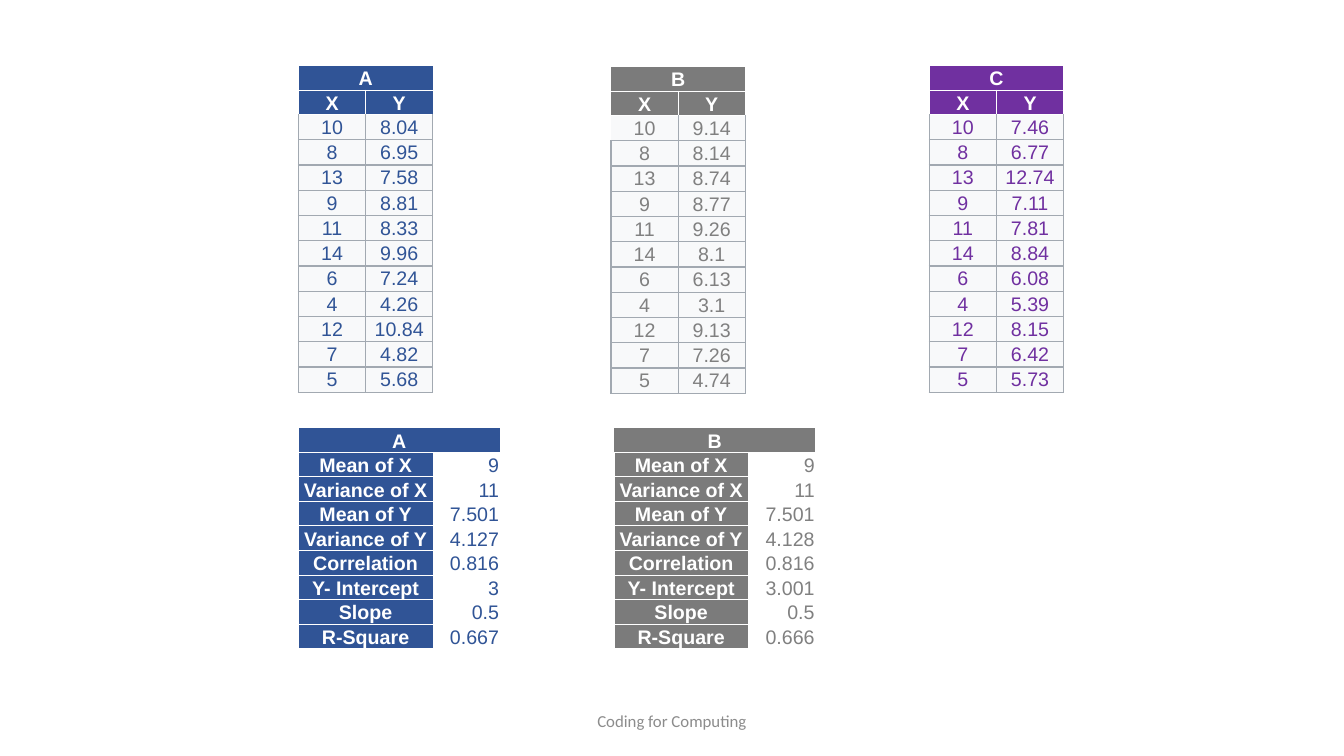
from dataclasses import dataclass

from lxml import etree
from pptx import Presentation
from pptx import util as u
from pptx.dml.color import RGBColor
from pptx.enum import text
from pptx.oxml import ns

WHITE, GRID, PALE = "FFFFFF", "A2A9B1", "F8F9FA"
BLUE, GRAY, GRAY_TEXT, PURPLE = "305496", "7B7B7B", "808080", "7030A0"
THIN, THICK = (WHITE, 0.5), (GRID, 1)
CENTER, RIGHT = text.PP_ALIGN.CENTER, text.PP_ALIGN.RIGHT
MIDDLE, BOTTOM = text.MSO_ANCHOR.MIDDLE, text.MSO_ANCHOR.BOTTOM

XS = "10 8 13 9 11 14 6 4 12 7 5".split()
STATS = ["Mean of X", "Variance of X", "Mean of Y", "Variance of Y",
         "Correlation", "Y- Intercept", "Slope", "R-Square"]


@dataclass
class Block:
    name: str
    left: float
    top: float
    fill: str
    color: str
    values: str
    open_left: int = 0  # leading rows without a left border


@dataclass
class Style:
    fill: str | None
    color: str
    bold: bool
    align: text.PP_ALIGN
    anchor: text.MSO_ANCHOR


def rgb(value: str) -> RGBColor:
    return RGBColor.from_string(value)


def set_borders(cell, left, right, top, bottom) -> None:
    """Each side is (colour, width in points), or None for no line."""
    tc_pr = cell._tc.get_or_add_tcPr()
    for tag, side in zip(("lnL", "lnR", "lnT", "lnB"), (left, right, top, bottom)):
        ln = etree.SubElement(tc_pr, ns.qn(f"a:{tag}"))
        if side is None:
            etree.SubElement(ln, ns.qn("a:noFill"))
            continue
        color, width = side
        ln.set("w", str(int(u.Pt(width))))
        solid = etree.SubElement(ln, ns.qn("a:solidFill"))
        etree.SubElement(solid, ns.qn("a:srgbClr")).set("val", color)


def fill_cell(cell, words: str, style: Style) -> None:
    if style.fill:
        cell.fill.solid()
        cell.fill.fore_color.rgb = rgb(style.fill)
    else:
        cell.fill.background()
    cell.margin_left = cell.margin_right = cell.margin_top = u.Pt(0.7)
    cell.margin_bottom = 0
    cell.vertical_anchor = style.anchor
    p = cell.text_frame.paragraphs[0]
    p.text = words
    p.alignment = style.align
    p.font.name, p.font.size, p.font.bold = "Arial", u.Pt(14), style.bold
    p.font.color.rgb = rgb(style.color)


def add_grid(slide, block: Block, widths: list[float], heights: list[float]):
    """Add a plain table whose first row is merged into a title."""
    frame = slide.shapes.add_table(
        len(heights), len(widths), u.Pt(block.left), u.Pt(block.top),
        u.Pt(sum(widths)), u.Pt(sum(heights)))
    table = frame.table
    table.first_row = table.horz_banding = False
    for column, width in zip(table.columns, widths):
        column.width = u.Pt(width)
    for row, height in zip(table.rows, heights):
        row.height = u.Pt(height)
    table.cell(0, 0).merge(table.cell(0, len(widths) - 1))
    return table


def header_style(block: Block) -> Style:
    return Style(block.fill, WHITE, True, CENTER, BOTTOM)


def add_data_table(slide, block: Block) -> None:
    rows = [(block.name, ""), ("X", "Y"), *zip(XS, block.values.split())]
    table = add_grid(slide, block, [48, 48], [17.1] * 2 + [18.03] * len(XS))
    body = Style(PALE, block.color, False, CENTER, MIDDLE)
    for i, row in enumerate(rows):
        line = THIN if i < 2 else THICK
        for j, words in enumerate(row):
            left = None if j == 0 and i < block.open_left else line
            set_borders(table.cell(i, j), left, line, THIN if i < 3 else THICK, line)
            fill_cell(table.cell(i, j), words, header_style(block) if i < 2 else body)


def add_stats_table(slide, block: Block) -> None:
    rows = [(block.name, ""), *zip(STATS, block.values.split())]
    table = add_grid(slide, block, [96, 48], [17.4] * len(rows))
    value = Style(None, block.color, False, RIGHT, BOTTOM)
    for i, row in enumerate(rows):
        for j, words in enumerate(row):
            left = None if j == 0 and i < block.open_left else THIN
            set_borders(table.cell(i, j), left, THIN, THIN, THIN)
            is_value = i > 0 and j == 1
            fill_cell(table.cell(i, j), words, value if is_value else header_style(block))


def add_footer(slide, words: str) -> None:
    sp = slide.shapes.add_textbox(u.Pt(318), u.Pt(500.5), u.Pt(324), u.Pt(28.75))
    tf = sp.text_frame
    tf.word_wrap = True
    tf.vertical_anchor = MIDDLE
    p = tf.paragraphs[0]
    p.text = words
    p.alignment = CENTER
    p.font.name, p.font.size = "Calibri", u.Pt(12)
    p.font.color.rgb = rgb("8C8C8C")


DATA = [
    Block("A", 213.2, 46.8, BLUE, BLUE,
          "8.04 6.95 7.58 8.81 8.33 9.96 7.24 4.26 10.84 4.82 5.68"),
    Block("B", 436.4, 47.5, GRAY, GRAY_TEXT,
          "9.14 8.14 8.74 8.77 9.26 8.1 6.13 3.1 9.13 7.26 4.74", open_left=3),
    Block("C", 663.8, 46.8, PURPLE, PURPLE,
          "7.46 6.77 12.74 7.11 7.81 8.84 6.08 5.39 8.15 6.42 5.73"),
]
SUMMARY = [
    Block("A", 213.2, 305.5, BLUE, BLUE, "9 11 7.501 4.127 0.816 3 0.5 0.667"),
    Block("B", 438.6, 305.5, GRAY, GRAY_TEXT,
          "9 11 7.501 4.128 0.816 3.001 0.5 0.666", open_left=1),
]


def main() -> None:
    prs = Presentation()
    prs.slide_width, prs.slide_height = u.Pt(960), u.Pt(540)
    slide = prs.slides.add_slide(prs.slide_layouts[6])
    add_footer(slide, "Coding for Computing")
    for block in DATA:
        add_data_table(slide, block)
    for block in SUMMARY:
        add_stats_table(slide, block)
    prs.save("out.pptx")


if __name__ == "__main__":
    main()
